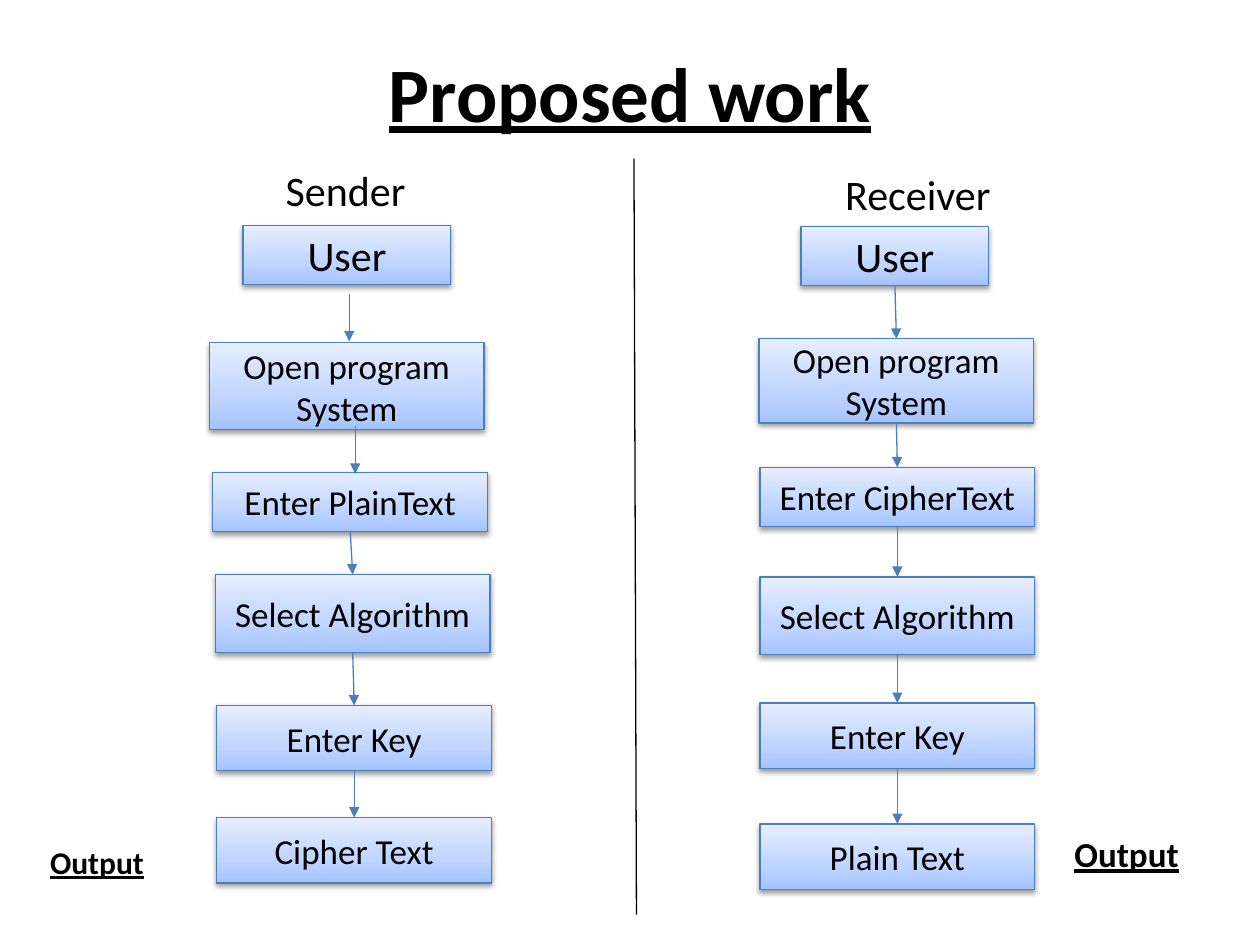
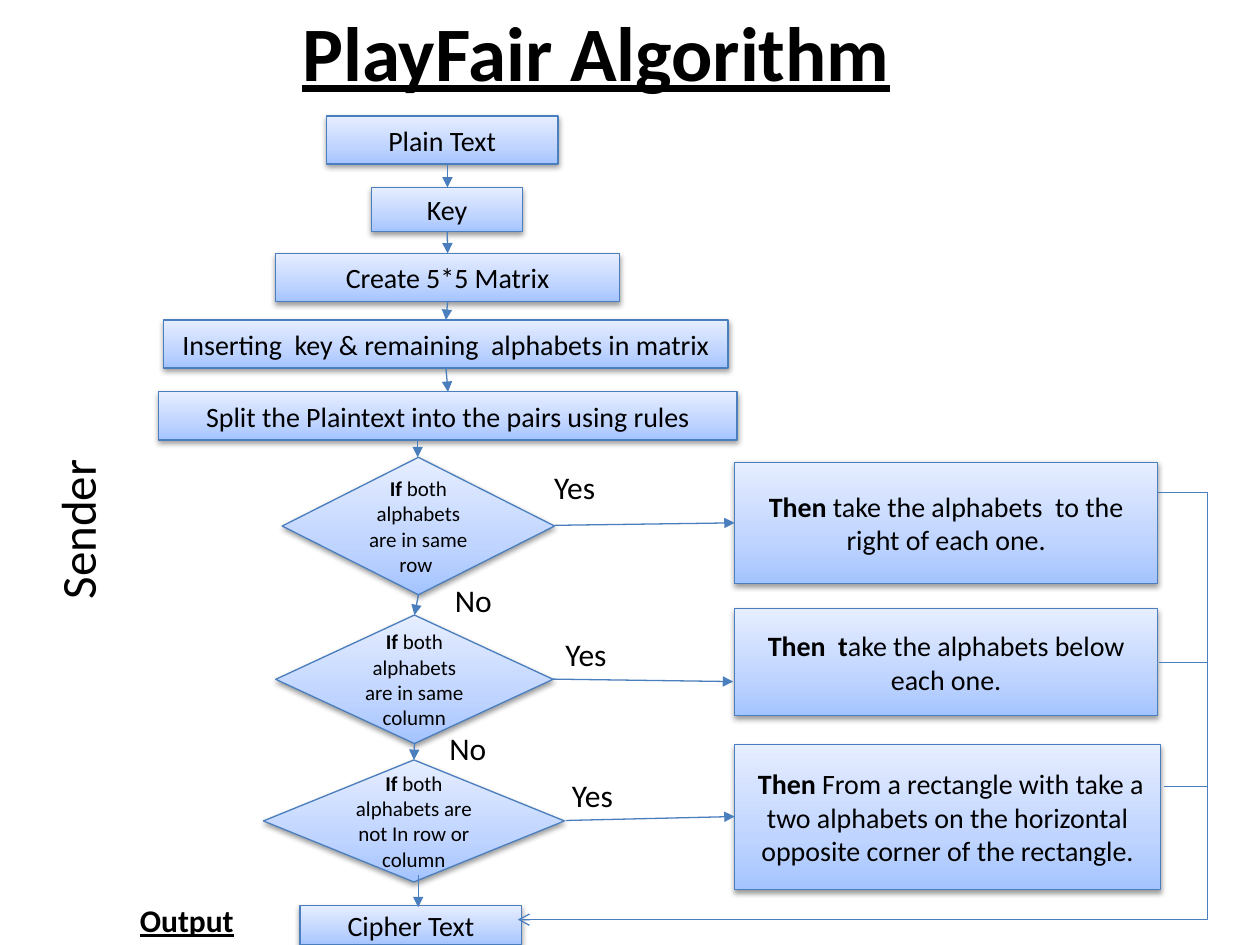
from copy import deepcopy
from dataclasses import dataclass

from lxml.etree import SubElement
from pptx import Presentation
from pptx.dml.color import RGBColor
from pptx.enum.shapes import MSO_CONNECTOR, MSO_SHAPE
from pptx.enum.text import MSO_ANCHOR, PP_ALIGN
from pptx.oxml.ns import qn
from pptx.util import Cm, Pt

BLACK = RGBColor(0, 0, 0)
EDGE_BLUE = RGBColor(0x4B, 0x7E, 0xBC)
STEP_GRADIENT = (
    (0, RGBColor(0xA4, 0xC4, 0xFF)),
    (0.35, RGBColor(0xBF, 0xD4, 0xFF)),
    (1, RGBColor(0xE6, 0xEE, 0xFF)),
)
FONT = "Calibri"
EDGE_WIDTH = Pt(0.75)


@dataclass
class Step:
    """One box of a flow, in cm from the corner of its region."""

    text: str
    left: float
    top: float
    width: float
    height: float
    size: int = 20
    lead: str = ""
    outline: MSO_SHAPE = MSO_SHAPE.RECTANGLE
    arrow: tuple = None


def style_font(font, size):
    """Apply the shared typeface and colour."""
    font.name = FONT
    font.size = Pt(size)
    font.color.rgb = BLACK


def add_label(slide, text, left, top, width, height, size, strong=False, wrap=True):
    """Add a line of free text, bold and underlined when strong."""
    label = slide.shapes.add_textbox(Cm(left), Cm(top), Cm(width), Cm(height))
    label.text_frame.word_wrap = wrap
    paragraph = label.text_frame.paragraphs[0]
    paragraph.text = text
    style_font(paragraph.font, size)
    if strong:
        paragraph.font.bold = True
        paragraph.font.underline = True
    return label


def add_title(slide, text, left, top, width, height):
    """Add the centred slide title."""
    title = add_label(slide, text, left, top, width, height, 44, strong=True)
    title.text_frame.vertical_anchor = MSO_ANCHOR.MIDDLE
    title.text_frame.paragraphs[0].alignment = PP_ALIGN.CENTER


def add_line(slide, start, end, color=EDGE_BLUE, head=None, kind=MSO_CONNECTOR.STRAIGHT):
    """Join two points given in cm, with an optional arrowhead at the end."""
    points = [Cm(value) for value in (*start, *end)]
    line = slide.shapes.add_connector(kind, *points)
    line.line.color.rgb = color
    line.line.width = EDGE_WIDTH
    properties = line._element.spPr
    if head:
        SubElement(properties.find(qn("a:ln")), qn("a:tailEnd"), type=head)
    SubElement(properties, qn("a:effectLst"))
    return line


def fill_step(shape):
    """Give a step its gradient, edge and soft shadow."""
    shape.fill.gradient()
    shape.fill.gradient_angle = 90
    properties = shape._element.spPr
    stop_list = properties.find(".//" + qn("a:gsLst"))
    stop_list.insert(1, deepcopy(stop_list[0]))
    for stop, (position, color) in zip(shape.fill.gradient_stops, STEP_GRADIENT):
        stop.color.rgb = color
        stop.position = position
    shape.line.color.rgb = EDGE_BLUE
    shape.line.width = EDGE_WIDTH
    shape.shadow.inherit = False
    shadow = SubElement(
        properties.find(qn("a:effectLst")), qn("a:outerShdw"),
        blurRad="40000", dist="20000", dir="5400000", rotWithShape="0",
    )
    shade = SubElement(shadow, qn("a:srgbClr"), val=str(BLACK))
    SubElement(shade, qn("a:alpha"), val="38000")


def add_step(slide, left, top, step):
    """Draw one step with its bold lead and its text."""
    shape = slide.shapes.add_shape(
        step.outline, Cm(left + step.left), Cm(top + step.top), Cm(step.width), Cm(step.height)
    )
    fill_step(shape)
    frame = shape.text_frame
    frame.word_wrap = True
    frame.vertical_anchor = MSO_ANCHOR.MIDDLE
    for index, line in enumerate(step.text.split("\n")):
        paragraph = frame.paragraphs[0] if index == 0 else frame.add_paragraph()
        paragraph.alignment = PP_ALIGN.CENTER
        style_font(paragraph.font, step.size)
        if step.lead:
            lead = paragraph.add_run()
            lead.text = step.lead
            lead.font.bold = True
        paragraph.add_run().text = line


def add_flow(slide, left, top, steps):
    """Draw steps, joined from bottom centre to top centre unless an arrow is given."""
    for step in steps:
        add_step(slide, left, top, step)
    for before, step in zip([None, *steps], steps):
        if step.arrow:
            x1, y1, x2, y2 = step.arrow
        elif before:
            x1, y1 = before.left + before.width / 2, before.top + before.height
            x2, y2 = step.left + step.width / 2, step.top
        else:
            continue
        add_line(slide, (left + x1, top + y1), (left + x2, top + y2), head="triangle")


def add_sender(slide, left, top):
    """Place the sender's column."""
    add_label(slide, "Sender ", left + 1.31, top, 6.63, 1.27, 24)
    add_flow(slide, left, top, [
        Step("User", 0.7, 1.35, 4.19, 1.19, 24),
        Step("Open program\nSystem", 0.02, 3.71, 5.54, 1.75, arrow=(2.84, 2.72, 2.84, 3.68)),
        Step("Enter PlainText", 0.09, 6.32, 5.54, 1.19, arrow=(2.96, 5.39, 2.96, 6.35)),
        Step("Select Algorithm", 0.14, 8.38, 5.54, 1.57),
        Step("Enter Key", 0.17, 11.02, 5.54, 1.32),
        Step("Cipher Text", 0.17, 13.28, 5.54, 1.32),
    ])
    add_label(slide, "Output", left - 3.44, top + 13.67, 2.41, 1.8, 18, strong=True, wrap=False)


def add_receiver(slide, left, top):
    """Place the receiver's column."""
    add_label(slide, "Receiver", left + 1.49, top + 0.08, 6.5, 1.27, 24)
    add_flow(slide, left, top, [
        Step("User", 0.85, 1.37, 3.78, 1.19, 24),
        Step("Open program\nSystem", 0, 3.63, 5.54, 1.7),
        Step("Enter CipherText", 0.02, 6.22, 5.54, 1.19),
        Step("Select Algorithm", 0.02, 8.43, 5.54, 1.57),
        Step("Enter Key", 0.02, 10.97, 5.54, 1.32),
        Step("Plain Text", 0.02, 13.41, 5.54, 1.32),
    ])
    add_label(slide, "Output", left + 6.11, top + 13.46, 2.79, 1.12, 20, strong=True)


def add_encryption(slide, left, top):
    """Place the main run of the algorithm, from plain text to cipher text."""
    choice = {"size": 12, "lead": "If", "outline": MSO_SHAPE.DIAMOND}
    add_flow(slide, left, top, [
        Step("Plain Text", 3.38, 0, 4.67, 0.97, 16),
        Step("Key", 4.29, 1.44, 3.05, 0.89, 16, arrow=(5.82, 0.99, 5.82, 1.44)),
        Step("Create 5*5 Matrix", 2.36, 2.77, 6.93, 0.97, 16),
        Step("Inserting  key & remaining  alphabets in matrix", 0.1, 4.11, 11.38, 0.97, 16),
        Step("Split the Plaintext into the pairs using rules", 0, 5.56, 11.66, 0.97, 16),
        Step(" both alphabets are in same row ", 2.49, 6.88, 5.49, 2.77,
             arrow=(5.22, 6.53, 5.22, 6.88), **choice),
        Step(" both alphabets are in same column", 2.36, 10.06, 5.59, 2.59, **choice),
        Step(" both alphabets are not In row or column", 2.11, 12.98, 6.07, 2.46, **choice),
        Step("Cipher Text", 2.85, 15.92, 4.47, 0.79, 16, arrow=(5.23, 15.29, 5.23, 15.95)),
    ])
    for x, y in ((5.72, 9.24), (5.61, 12.24)):
        add_label(slide, "No", left + x, top + y, 1.6, 1.02, 18)


def add_outcomes(slide, left, top):
    """Place the three rules, their Yes arrows and the way back to the cipher text."""
    add_flow(slide, left, top, [
        Step(" take the alphabets  to the right of each one.", 0, 0, 8.53, 2.44, 16,
             "Then", arrow=(-3.63, 1.27, 0, 1.22)),
        Step("ake the alphabets below each one.", 0, 2.95, 8.53, 2.16, 16,
             "Then  t", arrow=(-3.66, 4.37, -0.03, 4.42)),
        Step("From a rectangle with take a two alphabets on the horizontal "
             "opposite corner of the rectangle.", 0, 5.69, 8.59, 2.92, 16,
             " Then ", arrow=(-3.41, 7.22, 0, 7.14)),
    ])
    for x, y in ((-3.89, 0), (-3.66, 3.35), (-3.53, 6.2)):
        add_label(slide, "Yes", left + x, top + y, 1.6, 1.02, 18)
    way_back = add_line(slide, (left + 8.51, top + 0.61), (left - 4.37, top + 9.22),
                        head="arrow", kind=MSO_CONNECTOR.ELBOW)
    adjustments = way_back._element.spPr.find(".//" + qn("a:avLst"))
    SubElement(adjustments, qn("a:gd"), name="adj1", fmla="val -7900")
    for x, y in ((8.56, 4.04), (8.66, 6.53)):
        add_line(slide, (left + x, top + y), (left + 9.52, top + y))


def build_proposed_work(slide):
    """Compose the sender and receiver overview."""
    add_title(slide, "Proposed work", 1.27, 0.76, 22.86, 2.16)
    add_sender(slide, 4.2, 3.2)
    add_receiver(slide, 15.3, 3.2)
    add_line(slide, (12.78, 3.2), (12.83, 18.44), BLACK)


def build_playfair(slide):
    """Compose the flowchart of the algorithm."""
    add_title(slide, "PlayFair Algorithm", 1.47, -0.05, 21.11, 2.13)
    add_encryption(slide, 3.2, 2.34)
    add_outcomes(slide, 14.81, 9.32)
    add_label(slide, "Sender", -1.07, 8.99, 5.23, 1.45, 28).rotation = 270
    add_label(slide, "Output", 2.57, 18.03, 7.34, 1.02, 18, strong=True)


def main():
    """Build and save the presentation."""
    deck = Presentation()
    deck.slide_width, deck.slide_height = Cm(25.4), Cm(19.05)
    for build in (build_proposed_work, build_playfair):
        build(deck.slides.add_slide(deck.slide_layouts[6]))
    deck.save("out.pptx")


main()
